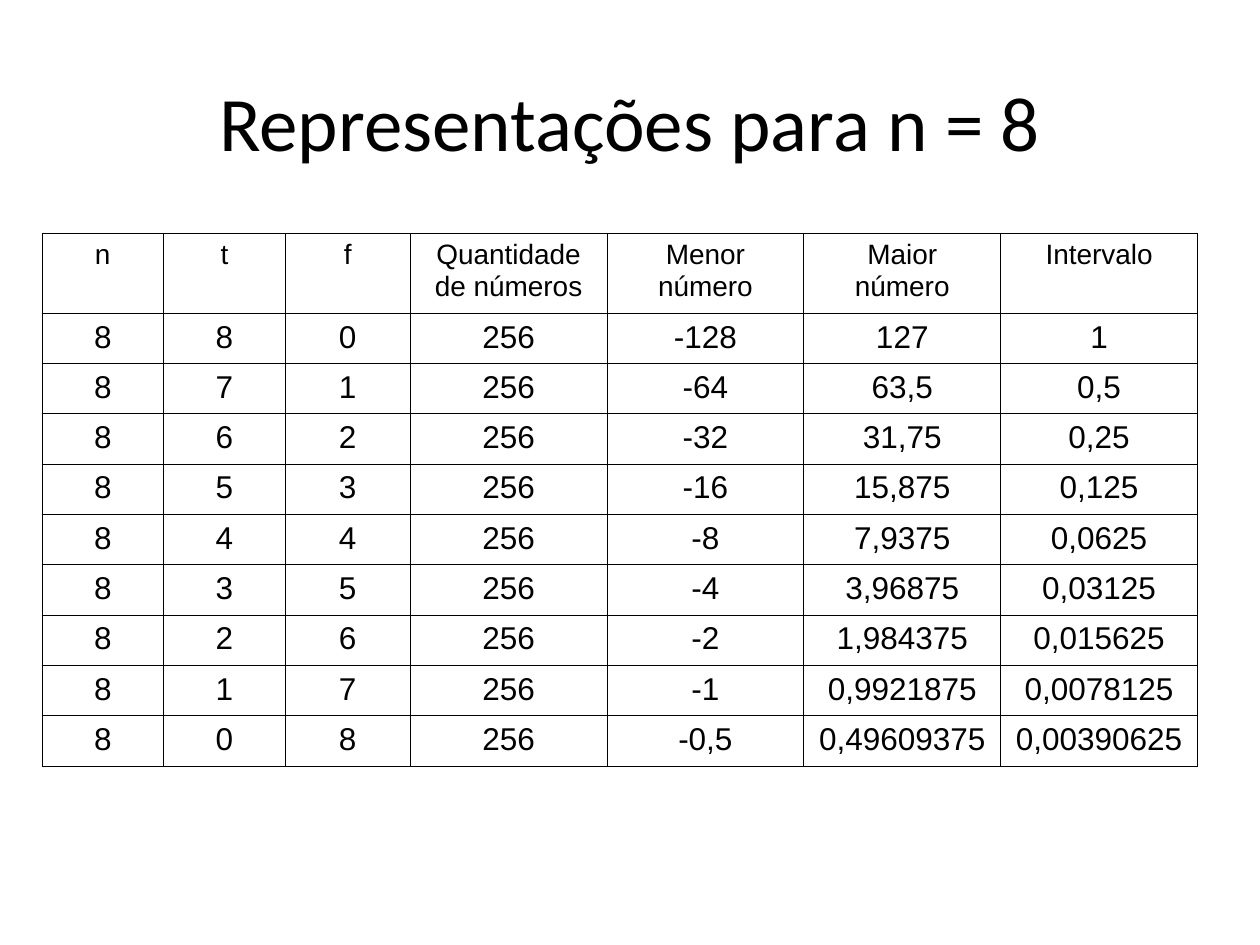
import pptx
import pptx.dml.color
import pptx.enum.text
import pptx.oxml
import pptx.oxml.ns
import pptx.util
from lxml import etree

Pt = pptx.util.Pt

TITLE = "Representações para n = 8"
HEADERS = ["n", "t", "f", "Quantidade de números", "Menor número", "Maior número", "Intervalo"]
ROWS = [
    ("8", "8", "0", "256", "-128", "127", "1"),
    ("8", "7", "1", "256", "-64", "63,5", "0,5"),
    ("8", "6", "2", "256", "-32", "31,75", "0,25"),
    ("8", "5", "3", "256", "-16", "15,875", "0,125"),
    ("8", "4", "4", "256", "-8", "7,9375", "0,0625"),
    ("8", "3", "5", "256", "-4", "3,96875", "0,03125"),
    ("8", "2", "6", "256", "-2", "1,984375", "0,015625"),
    ("8", "1", "7", "256", "-1", "0,9921875", "0,0078125"),
    ("8", "0", "8", "256", "-0,5", "0,49609375", "0,00390625"),
]

THEME = {
    "ink": "000000",
    "paper": "FFFFFF",
    "title_font": "Calibri",
    "table_font": "Arial",
    "title_size": 44,
    "header_size": 16,
    "body_size": 18,
    "border": 0.45,
}
TITLE_BOX = (36, 24, 648, 90)
TABLE_ORIGIN = (24, 133.4)
COLUMN_WIDTHS = [69.4, 69.6, 71.4] + [112.5] * 4
ROW_HEIGHTS = [45.6] + [28.76] * len(ROWS)


def format_paragraph(para, font_name, size):
    para.alignment = pptx.enum.text.PP_ALIGN.CENTER
    para.font.name = font_name
    para.font.size = Pt(size)
    para.font.bold = False
    para.font.color.rgb = pptx.dml.color.RGBColor.from_string(THEME["ink"])


def add_borders(cell):
    properties = cell._tc.get_or_add_tcPr()
    for index, side in enumerate(("lnL", "lnR", "lnT", "lnB")):
        line = etree.Element(pptx.oxml.ns.qn(f"a:{side}"), w=str(Pt(THEME["border"])))
        fill = etree.SubElement(line, pptx.oxml.ns.qn("a:solidFill"))
        etree.SubElement(fill, pptx.oxml.ns.qn("a:srgbClr"), val=THEME["ink"])
        properties.insert(index, line)


def add_title(page):
    box = page.shapes.title
    box.left, box.top, box.width, box.height = map(Pt, TITLE_BOX)
    box.text_frame.text = TITLE
    box.text_frame.vertical_anchor = pptx.enum.text.MSO_ANCHOR.MIDDLE
    format_paragraph(box.text_frame.paragraphs[0], THEME["title_font"], THEME["title_size"])


def add_number_table(page):
    content = [HEADERS] + ROWS
    frame = page.shapes.add_table(
        len(content), len(HEADERS), *map(Pt, TABLE_ORIGIN),
        Pt(sum(COLUMN_WIDTHS)), Pt(sum(ROW_HEIGHTS)))
    table = frame.table
    table.first_row = False
    table.horz_banding = False
    for column, width in zip(table.columns, COLUMN_WIDTHS):
        column.width = Pt(width)
    for row_index, (row, height) in enumerate(zip(table.rows, ROW_HEIGHTS)):
        row.height = Pt(height)
        size = THEME["body_size"] if row_index else THEME["header_size"]
        for cell, text in zip(row.cells, content[row_index]):
            cell.text = text
            cell.fill.background()
            add_borders(cell)
            format_paragraph(cell.text_frame.paragraphs[0], THEME["table_font"], size)


def main():
    deck = pptx.Presentation()
    deck.slide_width, deck.slide_height = Pt(720), Pt(540)
    page = deck.slides.add_slide(deck.slide_layouts.get_by_name("Title Only"))
    background = page.background.fill
    background.solid()
    background.fore_color.rgb = pptx.dml.color.RGBColor.from_string(THEME["paper"])
    add_title(page)
    add_number_table(page)
    deck.save("out.pptx")


if __name__ == "__main__":
    main()
